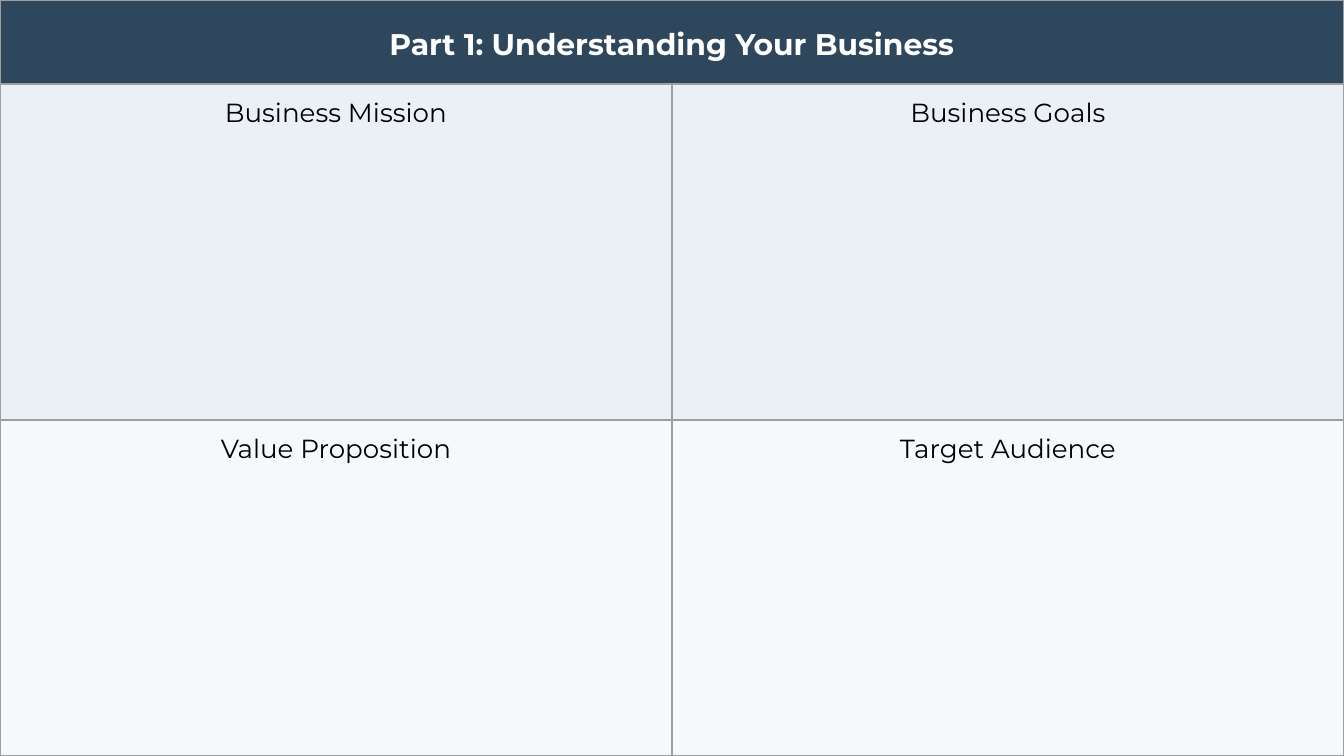
from lxml.etree import SubElement
from pptx import Presentation
from pptx.dml.color import RGBColor
from pptx.enum.text import MSO_ANCHOR, PP_ALIGN
from pptx.oxml.ns import qn
from pptx.util import Inches, Pt

# Content
TITLE = "Part 1: Understanding Your Business"
TOPICS = [
    ("Business Mission", "Business Goals"),
    ("Value Proposition", "Target Audience"),
]

# Look
COLORS = {
    "page": "2D3E50",
    "header": "2E475D",
    "header_text": "FFFFFF",
    "text": "000000",
    "border": "9E9E9E",
}
ROW_FILLS = ["EAF0F6", "F6F9FC"]
HEADER_FONT = {"name": "Montserrat", "size": Pt(16), "bold": True}
TOPIC_FONT = {"name": "Montserrat", "size": Pt(14), "bold": False}

# Widescreen page; the header takes the height the topic rows leave
PAGE_WIDTH = 10
PAGE_HEIGHT = PAGE_WIDTH * 9 / 16
TOPIC_HEIGHT = 2.5
HEADER_HEIGHT = PAGE_HEIGHT - TOPIC_HEIGHT * len(TOPICS)
MARGIN, HEADER_TOP_MARGIN = 0.1, 0.2


def add_borders(cell):
    properties = cell._tc.get_or_add_tcPr()
    for side in ("a:lnL", "a:lnR", "a:lnT", "a:lnB"):
        line = SubElement(properties, qn(side), w=str(Pt(0.75)))
        fill = SubElement(line, qn("a:solidFill"))
        SubElement(fill, qn("a:srgbClr"), val=COLORS["border"])


def format_cell(cell, fill, top=MARGIN):
    add_borders(cell)
    cell.fill.solid()
    cell.fill.fore_color.rgb = RGBColor.from_string(fill)
    cell.vertical_anchor = MSO_ANCHOR.TOP
    cell.margin_left = cell.margin_right = cell.margin_bottom = Inches(MARGIN)
    cell.margin_top = Inches(top)


def write_text(cell, text, font, color):
    para = cell.text_frame.paragraphs[0]
    para.alignment = PP_ALIGN.CENTER
    span = para.add_run()
    span.text = text
    for name, value in font.items():
        setattr(span.font, name, value)
    span.font.color.rgb = RGBColor.from_string(color)


def main():
    deck = Presentation()
    deck.slide_width, deck.slide_height = Inches(PAGE_WIDTH), Inches(PAGE_HEIGHT)
    page = deck.slides.add_slide(deck.slide_layouts[6])
    page.background.fill.solid()
    page.background.fill.fore_color.rgb = RGBColor.from_string(COLORS["page"])

    # Full-page table
    columns = len(TOPICS[0])
    table = page.shapes.add_table(
        len(TOPICS) + 1, columns, 0, 0, Inches(PAGE_WIDTH), Inches(PAGE_HEIGHT)
    ).table
    for column in table.columns:
        column.width = Inches(PAGE_WIDTH / columns)
    for index, row in enumerate(table.rows):
        row.height = Inches(TOPIC_HEIGHT if index else HEADER_HEIGHT)

    # Header across all columns
    header = table.cell(0, 0)
    header.merge(table.cell(0, columns - 1))
    for column in range(columns):
        format_cell(table.cell(0, column), COLORS["header"], HEADER_TOP_MARGIN)
    write_text(header, TITLE, HEADER_FONT, COLORS["header_text"])

    # Topic cells
    for row, (topics, fill) in enumerate(zip(TOPICS, ROW_FILLS), start=1):
        for column, topic in enumerate(topics):
            cell = table.cell(row, column)
            format_cell(cell, fill)
            write_text(cell, topic, TOPIC_FONT, COLORS["text"])

    deck.save("out.pptx")


if __name__ == "__main__":
    main()
